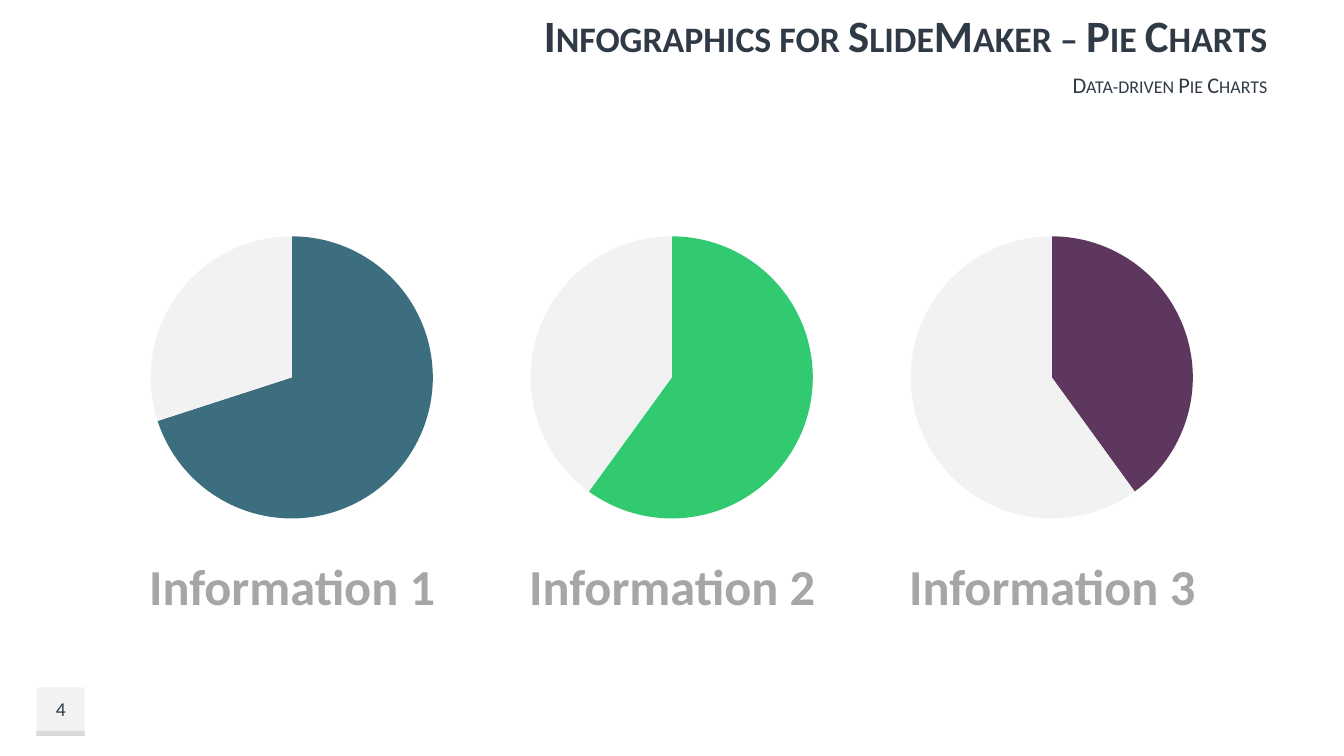
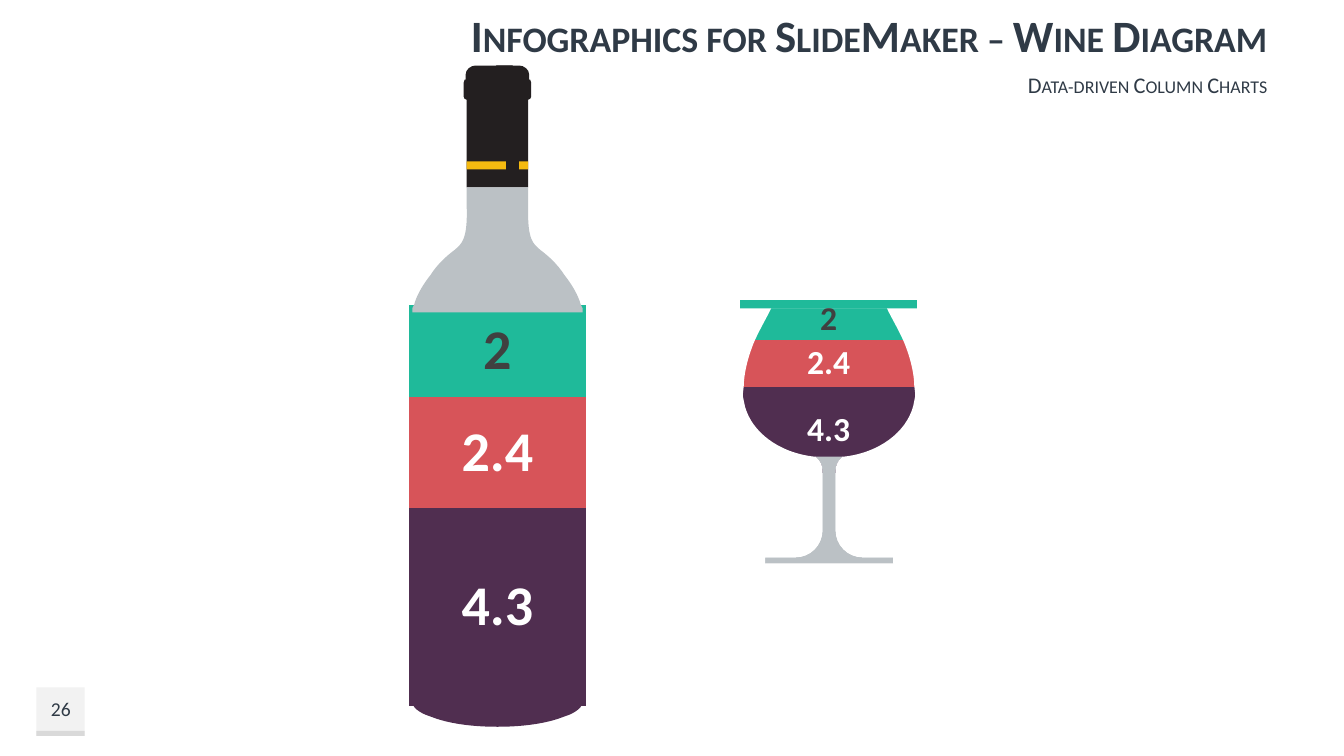
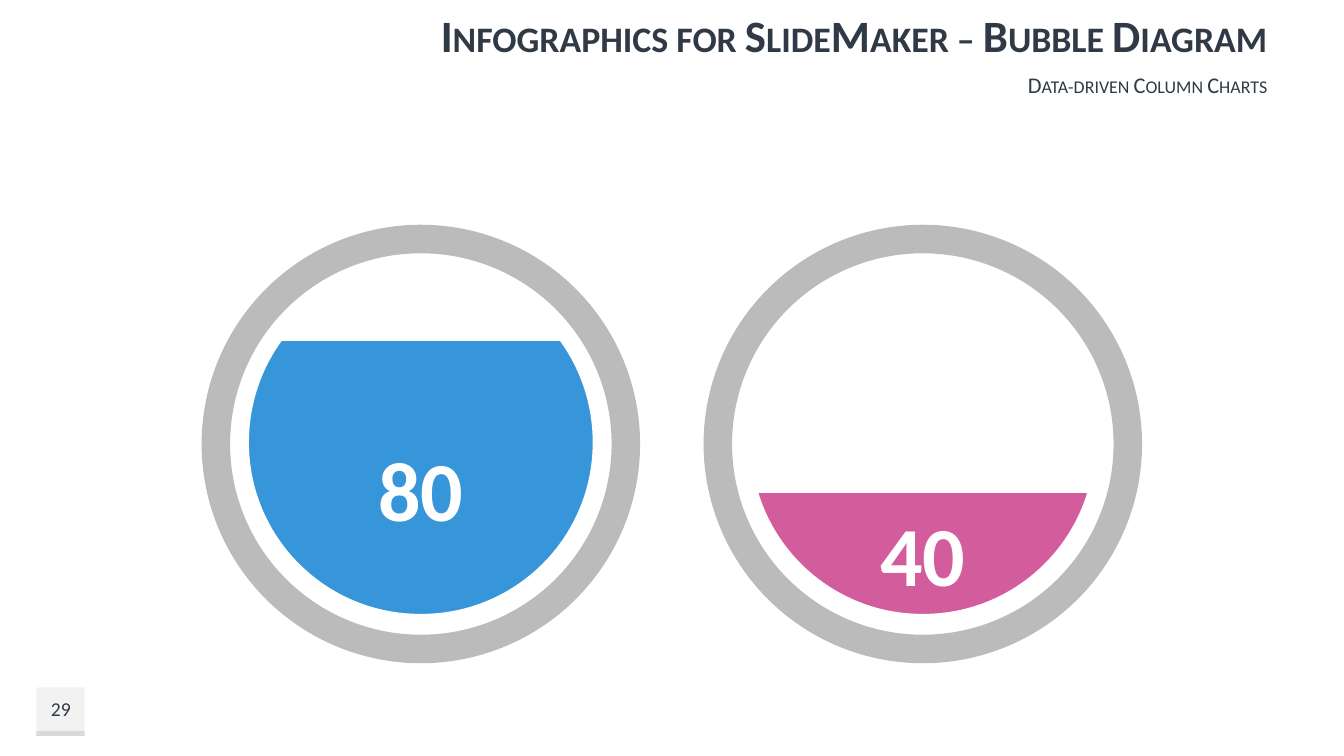
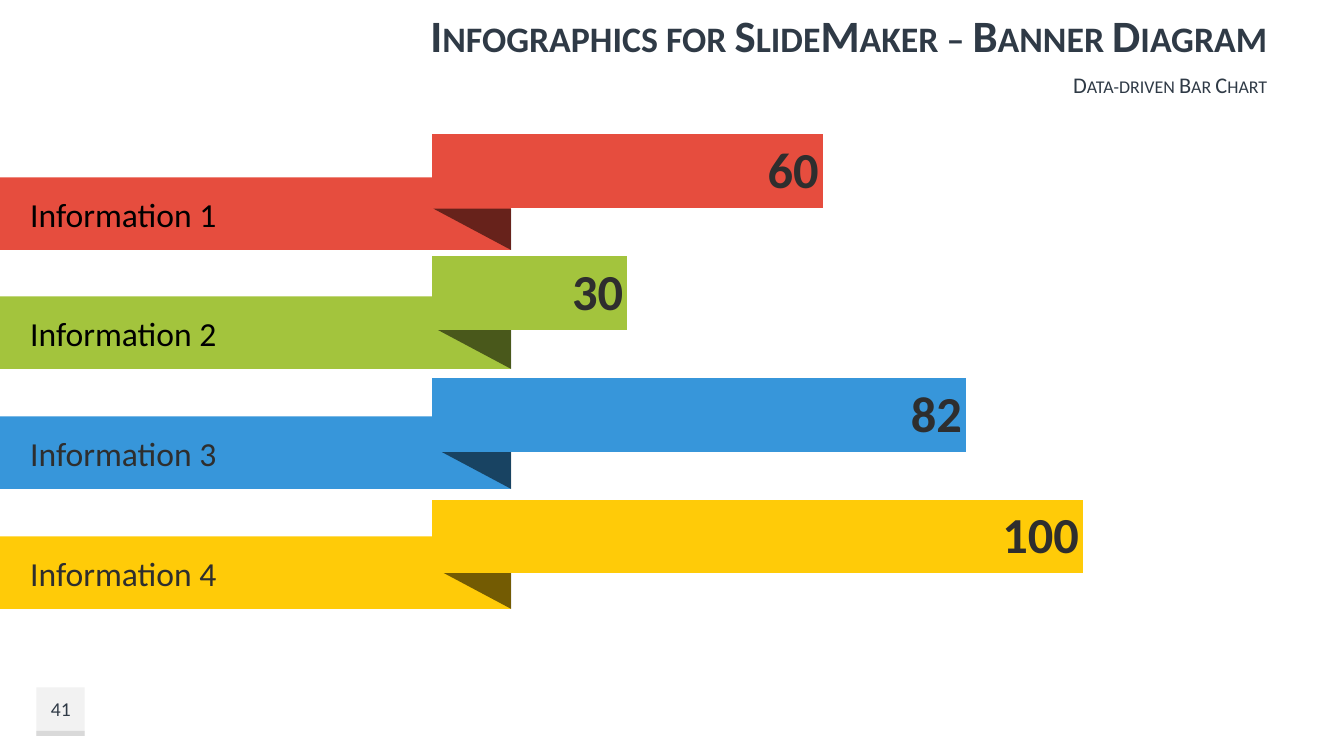
from dataclasses import dataclass

from lxml import etree
from pptx import Presentation
from pptx import util as u
from pptx.chart import data as chart_data
from pptx.dml.color import RGBColor
from pptx.enum import chart as charts
from pptx.enum import shapes, text
from pptx.oxml import parse_xml
from pptx.oxml.ns import nsdecls, qn

PX = u.Inches(1) // 100  # EMU in one px; 100 px make an inch


@dataclass(frozen=True)
class Theme:
    font: str = "Calibri"
    navy: str = "2F3A46"
    white: str = "FFFFFF"
    black: str = "000000"
    charcoal: str = "2E2E2E"
    dark_grey: str = "404040"
    label_grey: str = "A6A6A6"
    ring_grey: str = "BBBBBB"
    glass_grey: str = "BBC1C5"
    pale: str = "F2F2F2"
    pale_edge: str = "D9D9D9"
    petrol: str = "3C6E7F"
    emerald: str = "31CA70"
    purple: str = "5E375E"
    wine: str = "502E50"
    rose: str = "D75459"
    teal: str = "1FBA9A"
    cap: str = "231F20"
    gold: str = "F5BA10"
    blue: str = "3796DA"
    pink: str = "D25C9C"
    red: str = "E64D3E"
    lime: str = "A3C43D"
    yellow: str = "FFCB08"
    title_size: int = 32
    subtitle_size: int = 16
    number_size: int = 14
    caption_size: int = 36
    banner_size: int = 24
    bottle_size: int = 40
    glass_size: int = 24
    bubble_size: int = 60
    bar_size: int = 36


theme = Theme()


def add_text(slide, box, words, *, size, colour=theme.navy, bold=False, small_caps=False,
             align=text.PP_ALIGN.CENTER, wrap=True, fill=None, left_inset=10):
    """Add a text box, or a filled rectangle with text when a fill is given."""
    place = [length * PX for length in box]
    if fill:
        shape = slide.shapes.add_shape(shapes.MSO_SHAPE.RECTANGLE, *place)
        shape.fill.solid()
        shape.fill.fore_color.rgb = RGBColor.from_string(fill)
    else:
        shape = slide.shapes.add_textbox(*place)
    frame = shape.text_frame
    frame.word_wrap = wrap
    frame.vertical_anchor = text.MSO_ANCHOR.MIDDLE
    frame.margin_left = left_inset * PX
    paragraph = frame.paragraphs[0]
    paragraph.alignment = align
    run = paragraph.add_run()
    run.text = words
    run.font.name = theme.font
    run.font.size = u.Pt(size)
    run.font.bold = bold
    run.font.color.rgb = RGBColor.from_string(colour)
    if small_caps:
        for properties in shape.element.iter(qn("a:rPr")):
            properties.set("cap", "small")


def add_chart(slide, kind, box, categories, series_list, *, inset=0.02, gap=150,
              maximum=None, label_position=None, label_shift=0):
    """Add a bare chart; a series is (values, colours, label size, label colour).

    label_shift moves the first label of a series down, as a share of the height.
    """
    data = chart_data.CategoryChartData()
    data.categories = categories
    for index, (values, *_) in enumerate(series_list, 1):
        data.add_series(f"Series {index}", values)
    place = [length * PX for length in box]
    chart = slide.shapes.add_chart(kind, *place, data).chart
    chart.has_title = False
    chart.has_legend = False
    chart.font.name = theme.font
    chart.font.size = u.Pt(10)
    chart.font.color.rgb = RGBColor.from_string(theme.black)

    chart.element.find(qn("c:chart")).addnext(parse_xml(
        f'<c:spPr {nsdecls("c", "a")}><a:noFill/><a:ln><a:noFill/></a:ln></c:spPr>'))
    plot_area = chart.element.find(".//" + qn("c:plotArea"))
    for layout in plot_area.findall(qn("c:layout")):
        plot_area.remove(layout)
    extent = round(1 - 2 * inset, 3)
    settings = dict(layoutTarget="inner", xMode="edge", yMode="edge",
                    x=inset, y=inset, w=extent, h=extent)
    fields = "".join(f'<c:{name} val="{value}"/>' for name, value in settings.items())
    plot_area.insert(0, parse_xml(
        f'<c:layout {nsdecls("c")}><c:manualLayout>{fields}</c:manualLayout></c:layout>'))

    plot = chart.plots[0]
    plot.vary_by_categories = False
    if kind != charts.XL_CHART_TYPE.PIE:
        plot.gap_width = gap
        chart.value_axis.has_major_gridlines = False
        chart.category_axis.visible = False
        chart.value_axis.visible = False
        if maximum:
            chart.value_axis.minimum_scale = 0
            chart.value_axis.maximum_scale = maximum

    for series, (_, colours, label_size, label_colour) in zip(plot.series, series_list):
        single = len(colours) == 1
        for index, colour in enumerate(colours):
            part = series.format if single else series.points[index].format
            part.line.fill.background()
            if colour:
                part.fill.solid()
                part.fill.fore_color.rgb = RGBColor.from_string(colour)
            else:
                part.fill.background()
        if not label_size:
            continue
        series.data_labels.show_value = True
        labelled = [series.data_labels]
        if label_shift:
            labelled.append(series.points[0].data_label)
        for labels in labelled:
            labels.font.name = theme.font
            labels.font.size = u.Pt(label_size)
            labels.font.bold = True
            labels.font.color.rgb = RGBColor.from_string(label_colour)
        if label_shift:
            label = chart.element.find(".//" + qn("c:dLbl"))
            label.find(qn("c:idx")).addnext(parse_xml(
                f'<c:layout {nsdecls("c")}><c:manualLayout><c:x val="0"/>'
                f'<c:y val="{label_shift}"/></c:manualLayout></c:layout>'))
        if label_position is not None:
            series.data_labels.position = label_position


presentation = Presentation()
presentation.slide_width = 4000 * PX // 3
presentation.slide_height = 750 * PX

# Title, subtitle and page number of every slide
headings = [
    ("Pie Charts", "Data-driven Pie Charts", "4"),
    ("Wine Diagram", "Data-driven Column Charts", "26"),
    ("Bubble Diagram", "Data-driven Column Charts", "29"),
    ("Banner Diagram", "Data-driven Bar Chart", "41"),
]
for topic, subtitle, number in headings:
    slide = presentation.slides.add_slide(presentation.slide_layouts[6])
    for top, height, fill in [(682, 48, theme.pale), (725, 5, theme.pale_edge)]:
        tab = slide.shapes.add_shape(shapes.MSO_SHAPE.RECTANGLE,
                                     36 * PX, top * PX, 48 * PX, height * PX)
        tab.fill.solid()
        tab.fill.fore_color.rgb = RGBColor.from_string(fill)
    add_text(slide, (218, 68, 1049, 31), subtitle, size=theme.subtitle_size,
             small_caps=True, align=text.PP_ALIGN.RIGHT)
    add_text(slide, (218, 0, 1049, 68), f"Infographics for SlideMaker – {topic}",
             size=theme.title_size, bold=True, small_caps=True, align=text.PP_ALIGN.RIGHT)
    add_text(slide, (29, 682, 63, 43), number, size=theme.number_size)
pie_slide, wine_slide, bubble_slide, banner_slide = presentation.slides

# Pies
for index, (share, colour) in enumerate(
        [(70, theme.petrol), (60, theme.emerald), (40, theme.purple)]):
    shift = 377 * index
    add_chart(pie_slide, charts.XL_CHART_TYPE.PIE, (59 + shift, 221, 461, 307), ["1", "2"],
              [((share, 100 - share), (colour, theme.pale), None, None)], inset=0.044)
    add_text(pie_slide, (136 + shift, 545, 308, 71), f"Information {index + 1}",
             size=theme.caption_size, colour=theme.label_grey, bold=True, wrap=False)

# Wine levels in the glass and in the bottle
wine_levels = [(4.3, theme.wine, theme.white), (2.4, theme.rose, theme.white),
               (2, theme.teal, theme.dark_grey)]
for box, label_size in [((593, 294, 458, 179), theme.glass_size),
                        ((265, 294, 457, 415), theme.bottle_size)]:
    add_chart(wine_slide, charts.XL_CHART_TYPE.COLUMN_STACKED_100, box, ["1"],
              [((value,), (fill,), label_size, colour) for value, fill, colour in wine_levels])

# Bubble levels
bubble_step = 498
for index, (level, colour, label_shift) in enumerate(
        [(80, theme.blue, 0), (40, theme.pink, -0.03)]):
    add_chart(bubble_slide, charts.XL_CHART_TYPE.COLUMN_STACKED,
              (-27 + bubble_step * index, 255, 889, 393), ["1"],
              [((level,), (colour,), theme.bubble_size, theme.white),
               ((100 - level,), (None,), None, None)], maximum=100, label_shift=label_shift)

# Left halves of symmetric outlines, top to bottom: two numbers are a line end,
# six are the two controls and the end of a curve
stem = [(809, 453), (811, 455), (814, 458, 816, 462, 816, 467), (816, 526),
        (816, 541, 804, 553, 789, 553), (759, 553), (759, 559)]
bowl = [(765, 306), (762, 313, 750, 333, 746, 345), (741, 358, 738, 373, 738, 382),
        (737, 391), (737, 393), (739, 403), (746, 429, 773, 449, 807, 453)]
cap = [(472, 65), (467, 65, 462, 69, 462, 74), (462, 79), (461, 79), (460, 82),
       (460, 96), (461, 98), (463, 99), (463, 186)]
base = [(408, 693), (408, 694), (408, 700, 413, 705, 422, 709), (433, 713),
        (448, 718, 469, 721, 493, 721)]
shoulder = [(463, 186), (463, 205), (464, 238, 458, 242, 451, 248),
            (443, 254, 434, 262, 427, 273), (419, 283, 413, 294, 411, 302),
            (409, 306), (409, 310)]
circle = [(417, 268), (323, 268, 247, 344, 247, 439), (247, 533, 323, 609, 417, 609)]

# Slide, fill, half, sum of mirrored x values, shift, and the frame of a mask
outlines = [
    (wine_slide, theme.glass_grey, stem, 1645, 0, None),
    (wine_slide, theme.white, bowl + stem, 1645, 0, (714, 306, 931, 559)),
    (wine_slide, theme.cap, cap, 987, 0, None),
    (wine_slide, theme.wine, base, 987, 0, None),
    (wine_slide, theme.glass_grey, shoulder, 987, 0, None),
    (bubble_slide, theme.white, circle, 835, 0, (208, 229, 627, 648)),
    (bubble_slide, theme.white, circle, 835, bubble_step, (208, 229, 627, 648)),
]
for slide, fill, half, mirror_sum, shift, mask in outlines:
    left_side = [list(zip(segment[::2], segment[1::2])) for segment in half]
    right_side = [[left_side[-1][-1]]]
    for previous, segment in reversed(list(zip(left_side, left_side[1:]))):
        right_side.append(segment[-2::-1] + [previous[-1]])
    contours = [left_side + [[(mirror_sum - x, y) for x, y in segment]
                             for segment in right_side]]
    if mask:
        left, top, right, bottom = mask
        contours.append([[(left, top)], [(right, top)], [(right, bottom)], [(left, bottom)]])
    contours = [[[((x + shift) * PX, y * PX) for x, y in segment] for segment in contour]
                for contour in contours]

    builder = slide.shapes.build_freeform(*contours[0][0][-1], scale=1.0)
    for index, contour in enumerate(contours):
        if index:
            builder.move_to(*contour[0][-1])
        builder.add_line_segments([segment[-1] for segment in contour[1:]], close=True)
    outline = builder.convert_to_shape()
    outline.fill.solid()
    outline.fill.fore_color.rgb = RGBColor.from_string(fill)

    # Turn the straight segments that have control points into curves
    segments = [segment for contour in contours for segment in contour[1:]]
    for line, segment in zip(list(outline.element.iter(qn("a:lnTo"))), segments):
        if len(segment) == 3:
            line.tag = qn("a:cubicBezTo")
            for position, (x, y) in enumerate(segment[:2]):
                line.insert(position, line.makeelement(
                    qn("a:pt"), {"x": str(x - outline.left), "y": str(y - outline.top)}))

# Details on the bottle cap
for kind, fill, box in [
    (shapes.MSO_SHAPE.ROUNDED_RECTANGLE, theme.cap, (492, 72, 17, 6)),
    (shapes.MSO_SHAPE.ROUNDED_RECTANGLE, theme.cap, (492, 65, 17, 4)),
    (shapes.MSO_SHAPE.RECTANGLE, theme.gold, (463, 160, 39, 8)),
    (shapes.MSO_SHAPE.RECTANGLE, theme.gold, (515, 160, 9, 8)),
]:
    detail = wine_slide.shapes.add_shape(kind, *[length * PX for length in box])
    detail.fill.solid()
    detail.fill.fore_color.rgb = RGBColor.from_string(fill)

# Rings around the bubbles
for index in range(2):
    ring = bubble_slide.shapes.add_shape(
        shapes.MSO_SHAPE.DONUT, (200 + bubble_step * index) * PX, 223 * PX, 435 * PX, 435 * PX)
    ring.adjustments[0] = 0.065
    ring.fill.solid()
    ring.fill.fore_color.rgb = RGBColor.from_string(theme.ring_grey)

# Banners with folded corners
banners = [(60, theme.red, theme.black), (30, theme.lime, theme.black),
           (82, theme.blue, theme.charcoal), (100, theme.yellow, theme.charcoal)]
for index, (_, fill, colour) in enumerate(banners):
    top = 176 + 356 * index // 3
    add_text(banner_slide, (0, top, 507, 72), f"Information {index + 1}",
             size=theme.banner_size, colour=colour, align=text.PP_ALIGN.LEFT,
             fill=fill, left_inset=30)
    fold = banner_slide.shapes.add_shape(shapes.MSO_SHAPE.RIGHT_TRIANGLE,
                                         430 * PX, (top + 31) * PX, 77 * PX, 41 * PX)
    fold.rotation = 180
    fold.fill.solid()
    fold.fill.fore_color.rgb = RGBColor.from_string(theme.black)
    etree.SubElement(fold.element.find(".//" + qn("a:srgbClr")), qn("a:alpha"), val="55000")
values, fills, _ = zip(*reversed(banners))
add_chart(banner_slide, charts.XL_CHART_TYPE.BAR_CLUSTERED, (415, 99, 673, 504),
          ["1", "2", "3", "4"], [(values, fills, theme.bar_size, theme.charcoal)],
          gap=65, maximum=100, label_position=charts.XL_LABEL_POSITION.INSIDE_END)

# No drawn shape has a line or a shadow
drawn = (shapes.MSO_SHAPE_TYPE.AUTO_SHAPE, shapes.MSO_SHAPE_TYPE.FREEFORM)
for slide in presentation.slides:
    for shape in slide.shapes:
        if shape.shape_type in drawn:
            shape.line.fill.background()
            shape.shadow.inherit = False

presentation.save("out.pptx")
